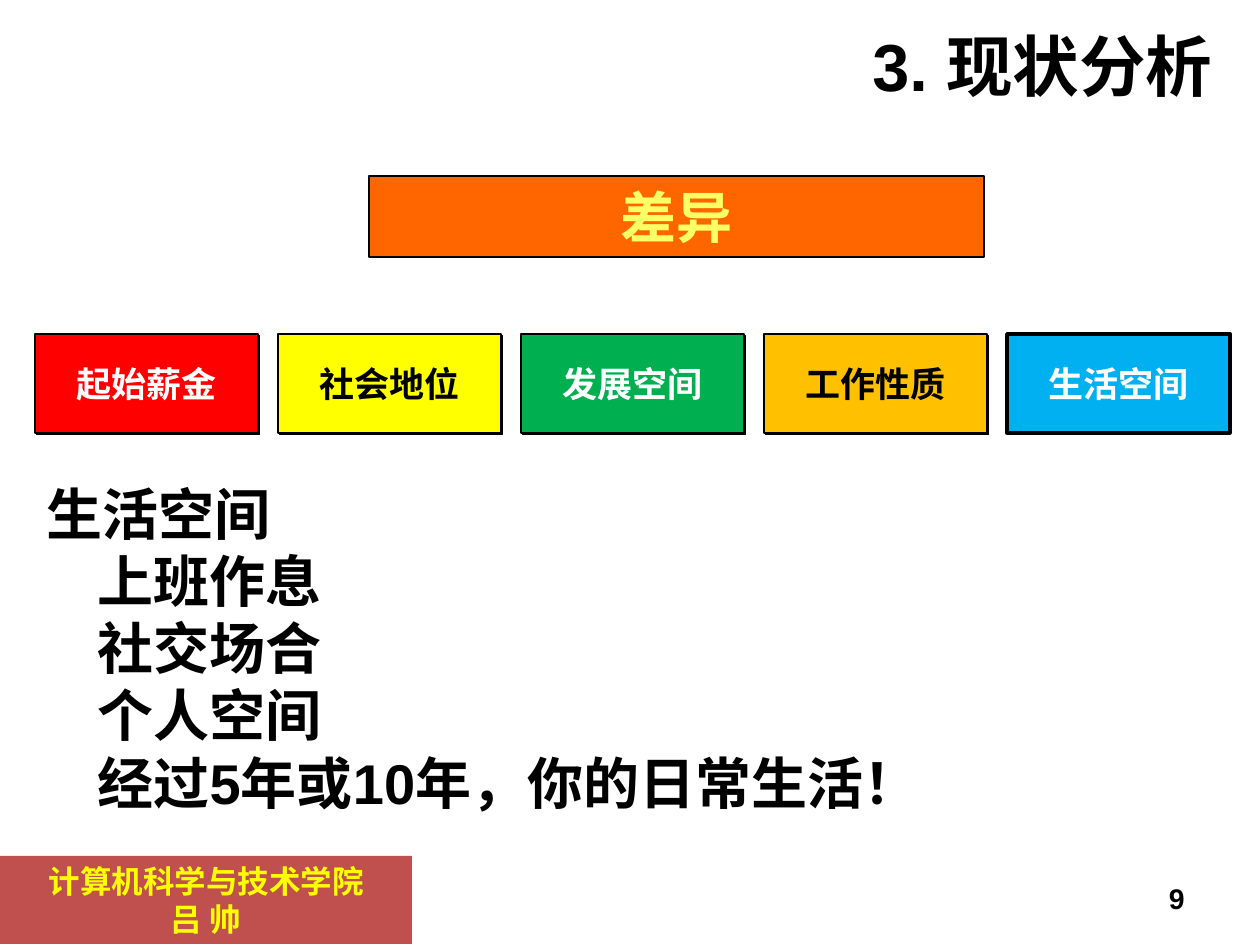
from dataclasses import dataclass

import pptx
import pptx.dml.color
import pptx.enum.shapes
import pptx.enum.text
import pptx.oxml
import pptx.oxml.ns
import pptx.util

PIXELS_PER_INCH = 126
ALIGN = pptx.enum.text.PP_ALIGN
ANCHOR = pptx.enum.text.MSO_ANCHOR


@dataclass(frozen=True)
class Theme:
    black: str = "000000"
    white: str = "FFFFFF"
    red: str = "FF0000"
    yellow: str = "FFFF00"
    green: str = "00B050"
    amber: str = "FFC000"
    blue: str = "00B0F0"
    orange: str = "FF6600"
    pale_yellow: str = "FFFF66"
    brick: str = "C0504D"
    latin_font: str = "Arial"
    active_font: str = "Calibri"
    chinese_font: str = "Noto Sans CJK SC"
    title_size: float = 38
    body_size: float = 32
    topic_size: float = 20
    footer_size: float = 18
    number_size: float = 16.2


THEME = Theme()


def px(length):
    return pptx.util.Emu(round(length * 914400 / PIXELS_PER_INCH))


def rgb(color):
    return pptx.dml.color.RGBColor.from_string(color)


def add_run(paragraph, text, size, color, font):
    run = paragraph.add_run()
    run.text = text
    run.font.size = pptx.util.Pt(size)
    run.font.bold = True
    run.font.color.rgb = rgb(color)
    run.font.name = font
    east_asian = pptx.oxml.parse_xml(
        f'<a:ea {pptx.oxml.ns.nsdecls("a")} typeface="{THEME.chinese_font}"/>'
    )
    run.font._element.find(pptx.oxml.ns.qn("a:latin")).addnext(east_asian)


def write_text(shape, lines, *, size, color=THEME.black, font=THEME.latin_font,
               align=ALIGN.CENTER, anchor=ANCHOR.TOP, grow=False,
               indent=0, line_spacing=None):
    """Write one paragraph per line; indent applies after the first line."""
    frame = shape.text_frame
    frame.word_wrap = True
    frame.vertical_anchor = anchor
    if grow:
        frame.auto_size = pptx.enum.text.MSO_AUTO_SIZE.SHAPE_TO_FIT_TEXT
    for index, line in enumerate(lines):
        paragraph = frame.add_paragraph() if index else frame.paragraphs[0]
        paragraph.alignment = align
        if line_spacing:
            paragraph.line_spacing = line_spacing
        if index and indent:
            paragraph._p.get_or_add_pPr().set("marL", str(px(indent)))
        add_run(paragraph, line, size, color, font)


def add_text_box(slide, left, top, width, height, lines, **text_format):
    box = slide.shapes.add_textbox(px(left), px(top), px(width), px(height))
    write_text(box, lines, **text_format)
    return box


def add_box(slide, left, top, width, height, lines, *, fill, line_width=0, **text_format):
    box = slide.shapes.add_shape(
        pptx.enum.shapes.MSO_SHAPE.RECTANGLE, px(left), px(top), px(width), px(height)
    )
    box.shadow.inherit = False
    box.fill.solid()
    box.fill.fore_color.rgb = rgb(fill)
    if line_width:
        box.line.color.rgb = rgb(THEME.black)
        box.line.width = pptx.util.Pt(line_width)
    else:
        box.line.fill.background()
    write_text(box, lines, **text_format)
    return box


def add_hard_shadow(shape):
    effects = shape._element.spPr.find(pptx.oxml.ns.qn("a:effectLst"))
    effects.append(pptx.oxml.parse_xml(
        f'<a:outerShdw {pptx.oxml.ns.nsdecls("a")} blurRad="0" dist="{pptx.util.Pt(1.4)}" '
        f'dir="2700000" algn="ctr" rotWithShape="0"><a:srgbClr val="{THEME.black}"/></a:outerShdw>'
    ))


def add_topics(slide):
    """Draw the row of topics; the last one is the active topic."""
    topics = [
        ("起始薪金", THEME.red, THEME.white),
        ("社会地位", THEME.yellow, THEME.black),
        ("发展空间", THEME.green, THEME.white),
        ("工作性质", THEME.amber, THEME.black),
        ("生活空间", THEME.blue, THEME.white),
    ]
    for index, (label, fill, color) in enumerate(topics):
        active = index == len(topics) - 1
        box = add_box(
            slide, 35 + 243 * index, 334, 223, 99, [label], fill=fill,
            line_width=2 if active else 0.75, size=THEME.topic_size, color=color,
            font=THEME.active_font if active else THEME.latin_font, anchor=ANCHOR.MIDDLE,
        )
        if not active:
            add_hard_shadow(box)


def main():
    presentation = pptx.Presentation()
    presentation.slide_width = px(1260)
    presentation.slide_height = px(945)
    slide = presentation.slides.add_slide(presentation.slide_layouts[6])

    add_box(slide, 0, 856, 412, 88, ["计算机科学与技术学院", "吕 帅"], fill=THEME.brick,
            size=THEME.footer_size, color=THEME.yellow, grow=True)
    add_topics(slide)
    title = add_text_box(slide, 192, 16, 1033, 97, ["3. "], size=THEME.title_size,
                         align=ALIGN.RIGHT, anchor=ANCHOR.MIDDLE)
    add_run(title.text_frame.paragraphs[0], "现状分析", THEME.title_size,
            THEME.black, THEME.active_font)
    add_box(slide, 369, 176, 615, 81, ["差异"], fill=THEME.orange, line_width=0.75,
            size=THEME.body_size, color=THEME.pale_yellow, font=THEME.chinese_font, grow=True)
    add_text_box(
        slide, 34, 473, 1181, 349,
        ["生活空间", "上班作息", "社交场合", "个人空间", "经过5年或10年，你的日常生活！"],
        size=THEME.body_size, align=ALIGN.JUSTIFY, grow=True, indent=51,
    )
    add_text_box(slide, 903, 876, 294, 50, ["9"], size=THEME.number_size,
                 align=ALIGN.RIGHT, anchor=ANCHOR.MIDDLE, line_spacing=0.8)

    presentation.save("out.pptx")


if __name__ == "__main__":
    main()
